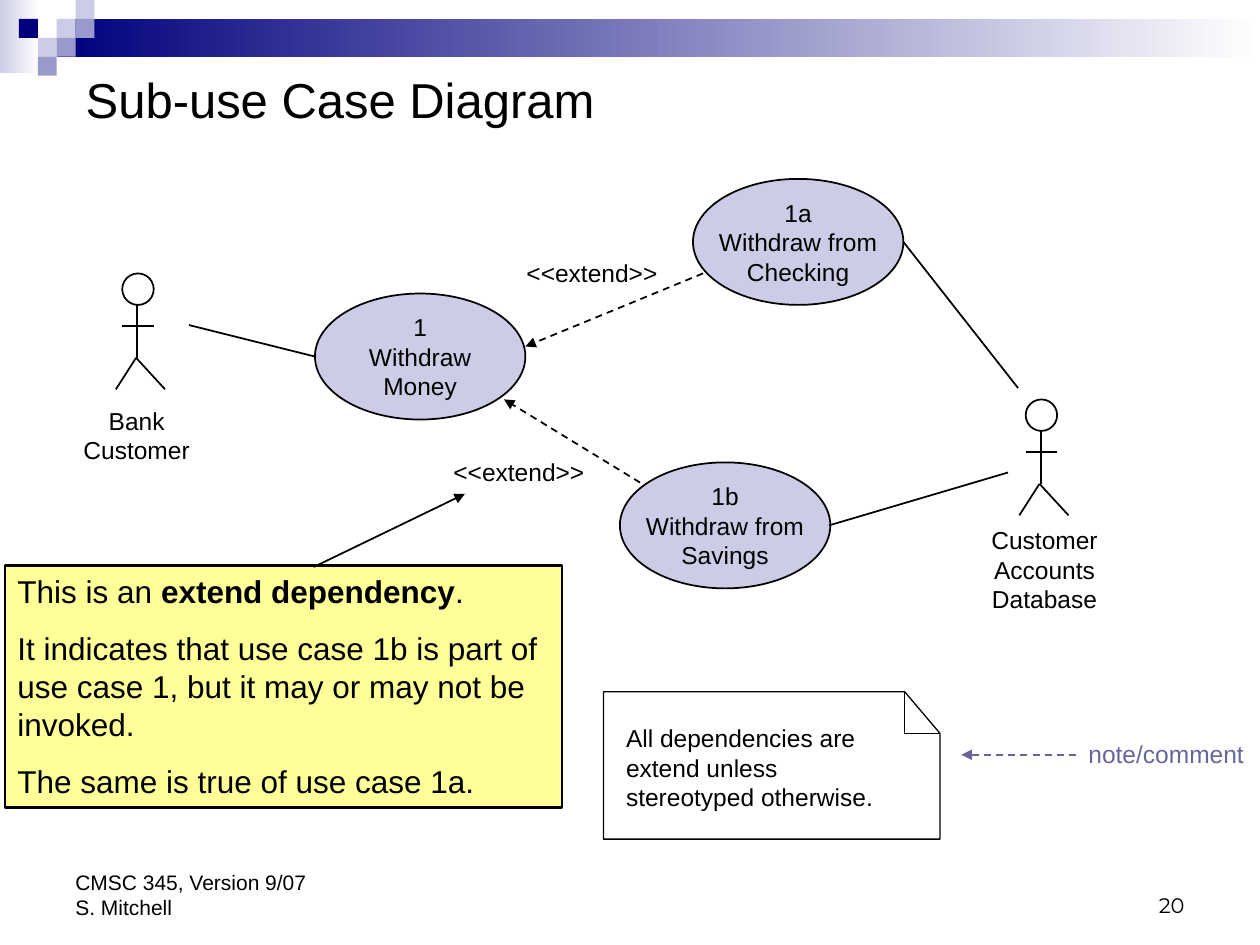
from lxml.etree import SubElement
from pptx import Presentation
from pptx.dml.color import RGBColor
from pptx.enum.dml import MSO_LINE
from pptx.enum.shapes import MSO_CONNECTOR, MSO_SHAPE
from pptx.enum.text import MSO_ANCHOR, MSO_AUTO_SIZE, PP_ALIGN
from pptx.oxml.ns import qn
from pptx.util import Inches, Pt

COLORS = {
    "black": "000000",
    "white": "FFFFFF",
    "navy": "00007D",
    "lavender": "CCCCE6",
    "periwinkle": "9999CC",
    "slate": "666699",
    "yellow": "FFFF99",
}


def color(name):
    return RGBColor.from_string(COLORS[name])


def set_text(shape, paragraphs, size=14, font="Arial", ink="black", align=PP_ALIGN.LEFT,
             anchor=MSO_ANCHOR.TOP, space_before=0, wrap=True, grow=False):
    """Each paragraph is a string or a list of (text, bold) runs."""
    frame = shape.text_frame
    frame.word_wrap = wrap
    frame.vertical_anchor = anchor
    frame.auto_size = MSO_AUTO_SIZE.SHAPE_TO_FIT_TEXT if grow else MSO_AUTO_SIZE.NONE
    for index, runs in enumerate(paragraphs):
        paragraph = frame.add_paragraph() if index else frame.paragraphs[0]
        paragraph.alignment = align
        paragraph.space_before = Pt(space_before)
        for text, bold in [(runs, False)] if isinstance(runs, str) else runs:
            run = paragraph.add_run()
            run.text = text
            run.font.size = Pt(size)
            run.font.name = font
            run.font.bold = bold
            run.font.color.rgb = color(ink)


def add_text_box(shapes, box, paragraphs, **text_format):
    text_box = shapes.add_textbox(*map(Inches, box))
    set_text(text_box, paragraphs, **text_format)


def add_label(shapes, box, text, **text_format):
    add_text_box(shapes, box, [text], space_before=8.8, grow=True, **text_format)


def set_outline(shape, width, ink="black"):
    shape.line.color.rgb = color(ink)
    shape.line.width = Pt(width)


def add_filled_shape(shapes, kind, box, fill=None, line_width=None):
    shape = shapes.add_shape(kind, *map(Inches, box))
    shape.shadow.inherit = False
    if fill:
        shape.fill.solid()
        shape.fill.fore_color.rgb = color(fill)
    else:
        shape.fill.background()
    if line_width:
        set_outline(shape, line_width)
    else:
        shape.line.fill.background()
    return shape


def add_line(shapes, start, end, ink="black", dashed=False, arrow=False):
    line = shapes.add_connector(MSO_CONNECTOR.STRAIGHT, *map(Inches, start + end))
    set_outline(line, 1, ink)
    if dashed:
        line.line.dash_style = MSO_LINE.DASH
    if arrow:
        SubElement(line.line._get_or_add_ln(), qn("a:tailEnd"), type="triangle")
    SubElement(line._element.spPr, qn("a:effectLst"))


def add_banner(shapes):
    """Top gradient bars with the mosaic of small squares."""
    for box, start in [((0, 0, 0.31, 0.58), "lavender"), ((0.45, 0.15, 9.55, 0.3), "navy")]:
        bar = add_filled_shape(shapes, MSO_SHAPE.RECTANGLE, box)
        bar.fill.gradient()
        bar.fill.gradient_angle = 0
        for stop, name in zip(bar.fill.gradient_stops, (start, "white")):
            stop.color.rgb = color(name)
    side = 0.15
    squares = [(3, 1, "lavender"), (4, 0, "lavender"), (4, 1, "periwinkle"),
               (2, 2, "lavender"), (1, 1, "navy"), (3, 2, "periwinkle"), (2, 3, "periwinkle")]
    for column, row, fill in squares:
        add_filled_shape(shapes, MSO_SHAPE.RECTANGLE,
                         (column * side, row * side, side, side), fill)


def add_title(slide, text):
    title = slide.shapes.title
    title.left, title.top, title.width, title.height = map(Inches, (0.58, 0.5, 4.83, 0.57))
    set_text(title, [text], size=28, space_before=17.5, grow=True)


def add_use_case(shapes, left, top, lines):
    oval = add_filled_shape(shapes, MSO_SHAPE.OVAL, (left, top, 1.67, 1), "lavender", 1)
    set_text(oval, lines, align=PP_ALIGN.CENTER, anchor=MSO_ANCHOR.MIDDLE, wrap=False)


def add_actor(shapes, left, top, name, name_box):
    """Stick figure whose head has its corner at left, top."""
    figure = shapes.add_group_shape().shapes
    add_filled_shape(figure, MSO_SHAPE.OVAL, (left, top, 0.25, 0.25), line_width=1)
    limbs = [
        (0.12, 0.25, 0.12, 0.67),
        (0.11, 0.67, 0.34, 0.92),
        (0.11, 0.67, -0.05, 0.92),
        (0, 0.42, 0.25, 0.42),
    ]
    for x1, y1, x2, y2 in limbs:
        add_line(figure, (left + x1, top + y1), (left + x2, top + y2))
    add_label(figure, name_box, name, align=PP_ALIGN.CENTER)


def add_outline(shapes, points, close):
    builder = shapes.build_freeform(*map(Inches, points[0]))
    builder.add_line_segments([tuple(map(Inches, point)) for point in points[1:]], close=close)
    shape = builder.convert_to_shape()
    shape.shadow.inherit = False
    shape.fill.background()
    set_outline(shape, 0.75)


def add_note(shapes):
    """Page with a folded corner, and the arrow that names it."""
    left, top, right, bottom = 4.79, 5.49, 7.46, 6.66
    fold_x, fold_y = 7.18, 5.82
    add_outline(shapes, [(left, top), (fold_x, top), (right, fold_y),
                         (right, bottom), (left, bottom)], close=True)
    add_outline(shapes, [(fold_x, top), (fold_x, fold_y), (right, fold_y)], close=False)
    add_label(shapes, (4.87, 5.69, 2.42, 0.8),
              "All dependencies are extend unless stereotyped otherwise.")
    add_label(shapes, (8.54, 5.82, 1.5, 0.34), "note/comment", ink="slate")
    add_line(shapes, (8.54, 5.99), (7.63, 5.99), ink="slate", dashed=True, arrow=True)


def add_explanation(shapes):
    panel = add_filled_shape(shapes, MSO_SHAPE.RECTANGLE, (0.04, 4.49, 4.42, 1.92), "yellow", 1.5)
    set_text(panel, [
        [("This is an ", False), ("extend dependency", True), (".", False)],
        "It indicates that use case 1b is part of use case 1, but it may or may not be invoked.",
        "The same is true of use case 1a.",
    ], size=18, space_before=11.2, grow=True)
    add_line(shapes, (2.49, 4.5), (3.69, 3.92), arrow=True)


def main():
    presentation = Presentation()
    presentation.slide_width, presentation.slide_height = Inches(10), Inches(7.5)
    slide = presentation.slides.add_slide(presentation.slide_layouts[5])
    shapes = slide.shapes

    add_banner(shapes)
    add_title(slide, "Sub-use Case Diagram")
    add_text_box(shapes, (7.17, 6.83, 2.33, 0.5), ["20"], size=12, font="Montserrat",
                 align=PP_ALIGN.RIGHT, anchor=MSO_ANCHOR.BOTTOM)
    add_text_box(shapes, (0.5, 6.83, 2.33, 0.52), ["CMSC 345, Version 9/07", "S. Mitchell"],
                 size=12, anchor=MSO_ANCHOR.BOTTOM)

    add_use_case(shapes, 2.5, 2.33, ["1", "Withdraw", "Money"])
    add_use_case(shapes, 4.92, 3.67, ["1b", "Withdraw from", "Savings"])
    add_use_case(shapes, 5.5, 1.42, ["1a", "Withdraw from", "Checking"])
    add_actor(shapes, 0.97, 2.17, "Bank Customer", (0.5, 3.17, 1.17, 0.57))
    add_actor(shapes, 8.14, 3.17, "Customer Accounts Database", (7.75, 4.12, 1.08, 0.8))

    associations = [((1.5, 2.58), (2.5, 2.83)), ((6.58, 4.17), (8, 3.75)),
                    ((7.17, 1.92), (8.08, 3.08))]
    for start, end in associations:
        add_line(shapes, start, end)
    extensions = [((5.58, 2.17), (4.17, 2.75), (4.08, 2)),
                  ((5.08, 3.83), (4, 3.17), (3.5, 3.58))]
    for start, end, label_corner in extensions:
        add_line(shapes, start, end, dashed=True, arrow=True)
        add_label(shapes, label_corner + (1.42, 0.34), "<<extend>>")

    add_explanation(shapes)
    add_note(shapes)
    presentation.save("out.pptx")


if __name__ == "__main__":
    main()
